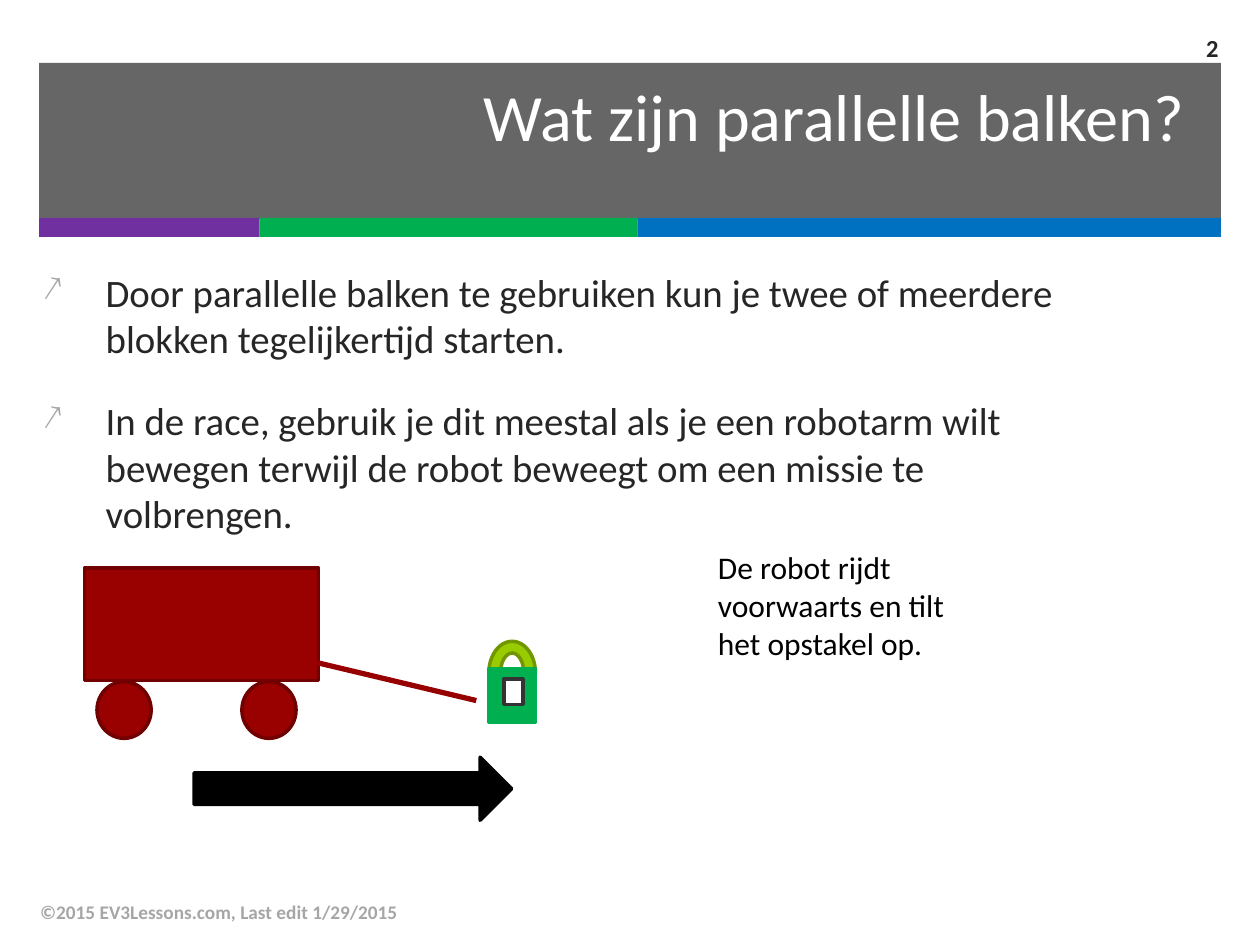
from typing import NamedTuple, Optional

from lxml.etree import SubElement
from pptx import Presentation
from pptx.dml.color import RGBColor
from pptx.enum.shapes import MSO_CONNECTOR as Connector, MSO_SHAPE as Preset
from pptx.enum.text import MSO_ANCHOR as Anchor, MSO_AUTO_SIZE as AutoSize, PP_ALIGN as Align
from pptx.oxml.ns import qn
from pptx.util import Inches, Pt

FONT = "Calibri"
CELL = 0.1  # inches; the slide is 100 columns by 75 rows
COLUMNS, ROWS = 100, 75
TITLE_ONLY = 5

COLORS = {
    "ink": "262626", "white": "FFFFFF", "black": "000000", "muted": "A6A6A6",
    "purple": "7030A0", "green": "00B050", "blue": "0070C0",
    "robot": "990000", "robot edge": "710000", "arm": "960000",
    "lime": "99CC00", "lime edge": "719700", "window edge": "333333",
}


class Box(NamedTuple):
    col: float
    row: float
    cols: float
    rows: float


class Part(NamedTuple):
    preset: Preset
    box: Box
    fill: str
    edge: Optional[str] = None


class Label(NamedTuple):
    text: str
    box: Box
    size: float
    color: str
    bold: bool = False
    align: Align = Align.LEFT
    anchor: Anchor = Anchor.MIDDLE


def cells(count: float) -> int:
    return Inches(count * CELL)


def rgb(name: str) -> RGBColor:
    return RGBColor.from_string(COLORS[name])


def draw_part(slide, part: Part):
    shape = slide.shapes.add_shape(part.preset, *map(cells, part.box))
    shape.shadow.inherit = False
    shape.fill.solid()
    shape.fill.fore_color.rgb = rgb(part.fill)
    if part.edge:
        shape.line.color.rgb = rgb(part.edge)
        shape.line.width = Pt(2)
    else:
        shape.line.fill.background()
    return shape


def fill_text(holder, label: Label) -> None:
    holder.left, holder.top, holder.width, holder.height = map(cells, label.box)
    frame = holder.text_frame
    frame.word_wrap = True
    frame.auto_size = AutoSize.NONE
    frame.vertical_anchor = label.anchor
    frame.text = label.text
    for paragraph in frame.paragraphs:
        paragraph.alignment = label.align
        for run in paragraph.runs:
            run.font.name = FONT
            run.font.size = Pt(label.size)
            run.font.bold = label.bold
            run.font.color.rgb = rgb(label.color)


def draw_label(slide, label: Label):
    holder = slide.shapes.add_textbox(*map(cells, label.box))
    fill_text(holder, label)
    return holder


def add_bullet(paragraph) -> None:
    props = paragraph._p.get_or_add_pPr()
    props.set("marL", str(Inches(0.5)))
    props.set("indent", str(-Inches(0.5)))
    color = SubElement(props, qn("a:buClr"))
    SubElement(color, qn("a:srgbClr"), val=COLORS["muted"])
    SubElement(props, qn("a:buSzPct"), val="90000")
    SubElement(props, qn("a:buChar"), char="↗")


def draw_header(slide) -> None:
    margin, top, width = 3.1, 5, 93.8
    band = draw_part(slide, Part(Preset.RECTANGLE, Box(margin, top, width, 12.4), "ink"))
    band_color = band.fill._xPr.find(qn("a:solidFill"))[0]
    SubElement(band_color, qn("a:alpha"), val="70000")

    # Coloured strip under the band
    col = margin
    for color, cols in (("purple", 17.5), ("green", 30), ("blue", 46.3)):
        draw_part(slide, Part(Preset.RECTANGLE, Box(col, 17.3, cols, 1.5), color))
        col += cols


def draw_arm(slide) -> None:
    arm = slide.shapes.add_connector(
        Connector.STRAIGHT, cells(25.2), cells(52.6), cells(37.8), cells(55.6))
    arm.line.color.rgb = rgb("arm")
    arm.line.width = Pt(3)
    SubElement(arm._element.spPr, qn("a:effectLst"))


TITLE = Label("Wat zijn parallelle balken?", Box(25.6, 5.7, 69.4, 6.8),
              37.8, "white", align=Align.RIGHT)
EXPLANATION = Label(
    "Door parallelle balken te gebruiken kun je twee of meerdere blokken "
    "tegelijkertijd starten.\n"
    "In de race, gebruik je dit meestal als je een robotarm wilt bewegen terwijl "
    "de robot beweegt om een missie te volbrengen.",
    Box(2.4, 20.8, 87.3, 19.8), 22.2, "ink", anchor=Anchor.TOP)
LABELS = [
    Label("©2015 EV3Lessons.com, Last edit 1/29/2015", Box(2.2, 70.4, 67, 4),
          11, "muted", bold=True),
    Label("De robot rijdt voorwaarts en tilt het opstakel op.",
          Box(56, 43, 22.7, 10.1), 18, "black", anchor=Anchor.TOP),
    Label("2", Box(90.8, 1.8, 6.9, 3.9), 14, "ink", bold=True, align=Align.RIGHT),
]

ROBOT = [Part(Preset.RECTANGLE, Box(6.7, 45.1, 18.6, 8.9), "robot", "robot edge")] + [
    Part(Preset.OVAL, Box(wheel, 54.1, 4.3, 4.5), "robot", "robot edge")
    for wheel in (7.7, 19.2)
]
OBSTACLE = [
    Part(Preset.BLOCK_ARC, Box(38.8, 50.9, 3.7, 5), "lime", "lime edge"),
    Part(Preset.RECTANGLE, Box(38.8, 53.1, 3.7, 4.2), "green", "green"),
    Part(Preset.RECTANGLE, Box(40, 53.9, 1.5, 2), "white", "window edge"),
]
DIRECTION = Part(Preset.RIGHT_ARROW, Box(15.4, 60.1, 25.2, 5), "black", "black")


def main() -> None:
    deck = Presentation()
    deck.slide_width, deck.slide_height = cells(COLUMNS), cells(ROWS)
    slide = deck.slides.add_slide(deck.slide_layouts[TITLE_ONLY])

    # Header, with the title brought in front of its band
    draw_header(slide)
    title = slide.shapes.title
    fill_text(title, TITLE)
    slide.shapes._spTree.append(title._element)

    # Explanation in bullets
    explanation = draw_label(slide, EXPLANATION)
    for index, paragraph in enumerate(explanation.text_frame.paragraphs):
        paragraph.space_before = Pt(20 if index else 0)
        add_bullet(paragraph)

    # Footer, caption and page number
    for label in LABELS:
        draw_label(slide, label)

    # Robot driving towards the obstacle
    for part in ROBOT + OBSTACLE:
        draw_part(slide, part)
    draw_arm(slide)
    draw_part(slide, DIRECTION)

    deck.save("out.pptx")


if __name__ == "__main__":
    main()
